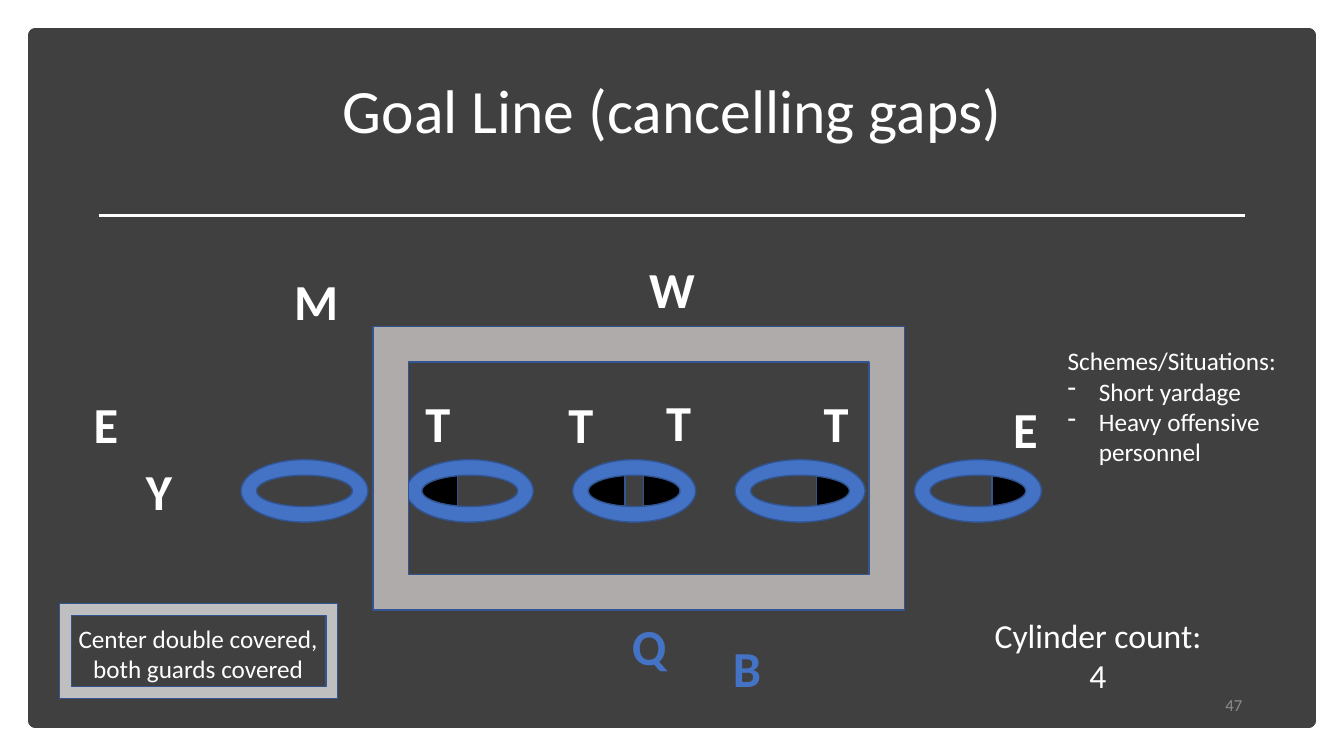
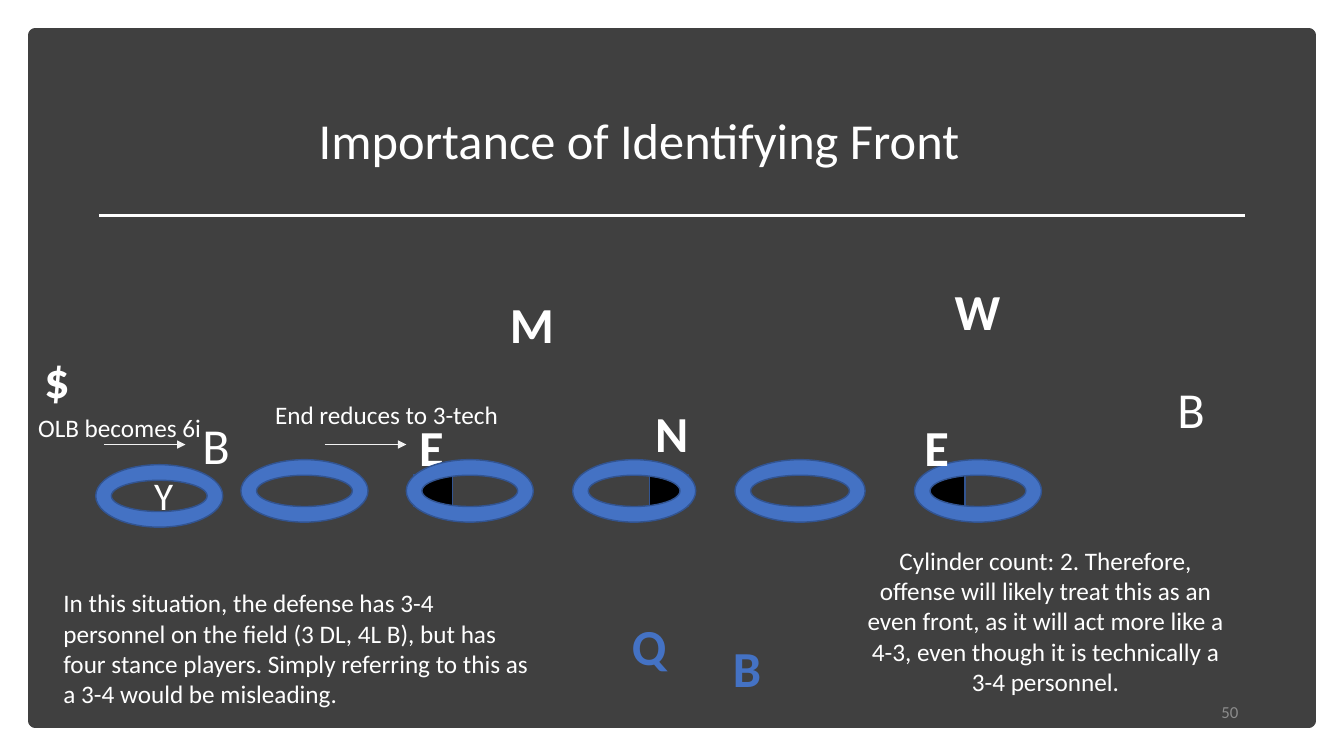
"""Build two slides of football defensive fronts."""
import pptx
import pptx.dml.color
import pptx.enum.shapes
import pptx.enum.text
import pptx.oxml.ns
import pptx.util
from lxml import etree

Inches = pptx.util.Inches
Pt = pptx.util.Pt
SHAPE = pptx.enum.shapes.MSO_SHAPE
ALIGN = pptx.enum.text.PP_ALIGN
ANCHOR = pptx.enum.text.MSO_ANCHOR
qn = pptx.oxml.ns.qn

WHITE, BLACK, CHARCOAL = "FFFFFF", "000000", "404040"
BLUE, NAVY, PALE = "4472C4", "325491", "F2F2F2"
FRAME_GRAY, KEY_GRAY, NUMBER_GRAY = "AFABAB", "BFBFBF", "8C8C8C"
FONT = "Calibri"

PANEL = (0.35, 0.35, 12.63, 6.8)
FIELD = (0.4, 2.5, 12.5, 4.5)
RING_TOP, RING_HEIGHT = 2.06, 0.62
LINEMEN = [(1.99, 1.26), (3.63, 1.26), (5.28, 1.22), (6.89, 1.29), (8.67, 1.26)]
BACKFIELD = [("Q", 5.77, 3.55), ("B", 6.77, 3.77)]


def rgb(value):
    """Turn a hex string into a colour."""
    return pptx.dml.color.RGBColor.from_string(value)


def within(box, left, top, width, height):
    """Shift a region given relative to a box to slide coordinates."""
    return box[0] + left, box[1] + top, width, height


def add_block(slide, kind, box, fill, line=NAVY, weight=1):
    """Draw a filled and outlined preset shape."""
    block = slide.shapes.add_shape(kind, *map(Inches, box))
    block.shadow.inherit = False
    block.fill.solid()
    block.fill.fore_color.rgb = rgb(fill)
    block.line.color.rgb = rgb(line)
    block.line.width = Pt(weight)


def add_stroke(slide, start, end, color, weight, arrow=False):
    """Draw a straight line, with an arrowhead at its end if asked."""
    stroke = slide.shapes.add_connector(
        pptx.enum.shapes.MSO_CONNECTOR.STRAIGHT, *map(Inches, start + end))
    stroke.line.color.rgb = rgb(color)
    stroke.line.width = Pt(weight)
    if arrow:
        etree.SubElement(stroke.line._get_or_add_ln(), qn("a:tailEnd"), type="triangle")
    etree.SubElement(stroke._element.spPr, qn("a:effectLst"))


def add_dash(paragraph):
    """Give a paragraph a hanging dash."""
    properties = paragraph._p.get_or_add_pPr()
    properties.set("marL", str(Inches(0.31)))
    properties.set("indent", str(-Inches(0.31)))
    etree.SubElement(properties, qn("a:buChar"), char="-")


def add_text(slide, box, lines, size=18, color=WHITE, bold=False,
             align=ALIGN.LEFT, anchor=ANCHOR.TOP, spacing=None, dashed_from=None):
    """Write lines of text, with dashes from a given line on."""
    frame = slide.shapes.add_textbox(*map(Inches, box)).text_frame
    frame.word_wrap = True
    frame.vertical_anchor = anchor
    font_format = {"name": FONT, "size": Pt(size), "bold": bold}
    for index, line in enumerate(lines):
        paragraph = frame.add_paragraph() if index else frame.paragraphs[0]
        paragraph.alignment = align
        if spacing:
            paragraph.line_spacing = spacing
        if dashed_from is not None and index >= dashed_from:
            add_dash(paragraph)
        run = paragraph.add_run()
        run.text = line
        for attribute, value in font_format.items():
            setattr(run.font, attribute, value)
        run.font.color.rgb = rgb(color)


def start_slide(deck, title, title_box, title_size, number, number_box):
    """Add a slide with the panel, title, rule and page number."""
    slide = deck.slides.add_slide(deck.slide_layouts[6])
    add_block(slide, SHAPE.RECTANGLE, PANEL, CHARCOAL, CHARCOAL, 10)
    add_stroke(slide, (0.98, 2.14), (12.35, 2.14), WHITE, 1.75)
    add_text(slide, title_box, [title], title_size, align=ALIGN.CENTER,
             anchor=ANCHOR.MIDDLE, spacing=0.9)
    add_text(slide, number_box, [number], 12, NUMBER_GRAY, align=ALIGN.RIGHT,
             anchor=ANCHOR.MIDDLE)
    return slide


def add_players(slide, box, players, color=WHITE, bold=True):
    """Write position letters at their places in the field."""
    for letter, left, top in players:
        add_text(slide, within(box, left, top, 1.3, 0.71), [letter], 36, color, bold)


def add_ring(slide, box, left, top, width):
    """Draw the cylinder of one lineman."""
    add_block(slide, SHAPE.DONUT, within(box, left, top, width, RING_HEIGHT), BLUE)


def add_offense(slide, box, covered):
    """Draw covered shoulders, the five linemen and the backfield."""
    for left in covered:
        add_block(slide, SHAPE.RECTANGLE,
                  within(box, left, RING_TOP + 0.15, 0.39, 0.31), BLACK)
    for left, width in LINEMEN:
        add_ring(slide, box, left, RING_TOP, width)
    add_players(slide, box, BACKFIELD, BLUE)


def add_key(slide, box):
    """Draw the framed key."""
    add_text(slide, within(box, 0.01, 0.14, 2.73, 0.71),
             ["Center double covered, both guards covered"], align=ALIGN.CENTER)
    add_block(slide, SHAPE.FRAME, box, KEY_GRAY)


def add_shift(slide, box, caption, arrow_left, arrow_top):
    """Caption a defender's shift and draw its arrow."""
    add_text(slide, box, [caption])
    left, top = box[0] + arrow_left, box[1] + arrow_top
    add_stroke(slide, (left, top), (left + 0.81, top), PALE, 0.5, arrow=True)


def build_goal_line(deck):
    """Build the goal line slide."""
    slide = start_slide(deck, "Goal Line (cancelling gaps)", (0.92, 0.4, 11.5, 1.45), 44,
                        "47", (9.42, 6.79, 3, 0.4))
    add_offense(slide, FIELD, [3.75, 5.41, 5.98, 7.7, 9.44])
    add_block(slide, SHAPE.FRAME, within(FIELD, 3.3, 0.74, 5.27, 2.81), FRAME_GRAY)
    add_players(slide, FIELD, [
        ("W", 5.94, 0.01), ("M", 2.42, 0.13), ("E", 0.43, 1.35), ("Y", 0.95, 2.02),
        ("T", 3.72, 1.34), ("T", 5.14, 1.35), ("T", 6.11, 1.33), ("T", 7.67, 1.34),
        ("E", 9.55, 1.4)])
    add_text(slide, (9.68, 6.05, 2.42, 0.91), ["Cylinder count: 4"], 24,
             align=ALIGN.CENTER)
    add_text(slide, (10.49, 3.38, 2.79, 1.62),
             ["Schemes/Situations:", "Short yardage", "Heavy offensive personnel"],
             dashed_from=1)
    add_key(slide, (0.59, 5.99, 2.76, 0.94))


def build_identifying_front(deck):
    """Build the slide on identifying the front."""
    slide = start_slide(deck, "Importance of Identifying Front", (0.59, 0.7, 11.5, 1.45), 36,
                        "50", (9.38, 6.86, 3, 0.4))
    add_players(slide, FIELD, [("E", 3.66, 1.58)])
    add_offense(slide, FIELD, [3.7, 6.04, 8.78])
    add_ring(slide, FIELD, 0.55, RING_TOP + 0.05, 1.26)
    add_text(slide, within(FIELD, 1.03, 2.13, 0.46, 0.57), ["Y"], 28)
    add_players(slide, FIELD, [
        ("W", 8.97, 0.23), ("M", 4.56, 0.36), ("$", -0.06, 0.9), ("N", 6, 1.44),
        ("E", 8.67, 1.58)])
    add_players(slide, FIELD, [("B", 1.51, 1.56), ("B", 11.18, 1.2)], bold=False)
    add_shift(slide, (2.63, 3.91, 2.57, 0.4), "End reduces to 3-tech", 0.59, 0.5)
    add_shift(slide, (0.28, 4.04, 2.57, 0.4), "OLB becomes 6i", 0.75, 0.37)
    add_text(slide, (0.53, 5.78, 4.91, 1.31), [
        "In this situation, the defense has 3-4 personnel on the field (3 DL, 4L B), "
        "but has four stance players. Simply referring to this as a 3-4 would be "
        "misleading."])
    add_text(slide, (8.43, 5.36, 3.88, 1.62), [
        "Cylinder count: 2. Therefore, offense will likely treat this as an even front, "
        "as it will act more like a 4-3, even though it is technically a 3-4 personnel."],
        align=ALIGN.CENTER)


def main():
    """Build and save the deck."""
    deck = pptx.Presentation()
    deck.slide_width, deck.slide_height = Inches(13.33), Inches(7.5)
    build_goal_line(deck)
    build_identifying_front(deck)
    deck.save("out.pptx")


if __name__ == "__main__":
    main()
